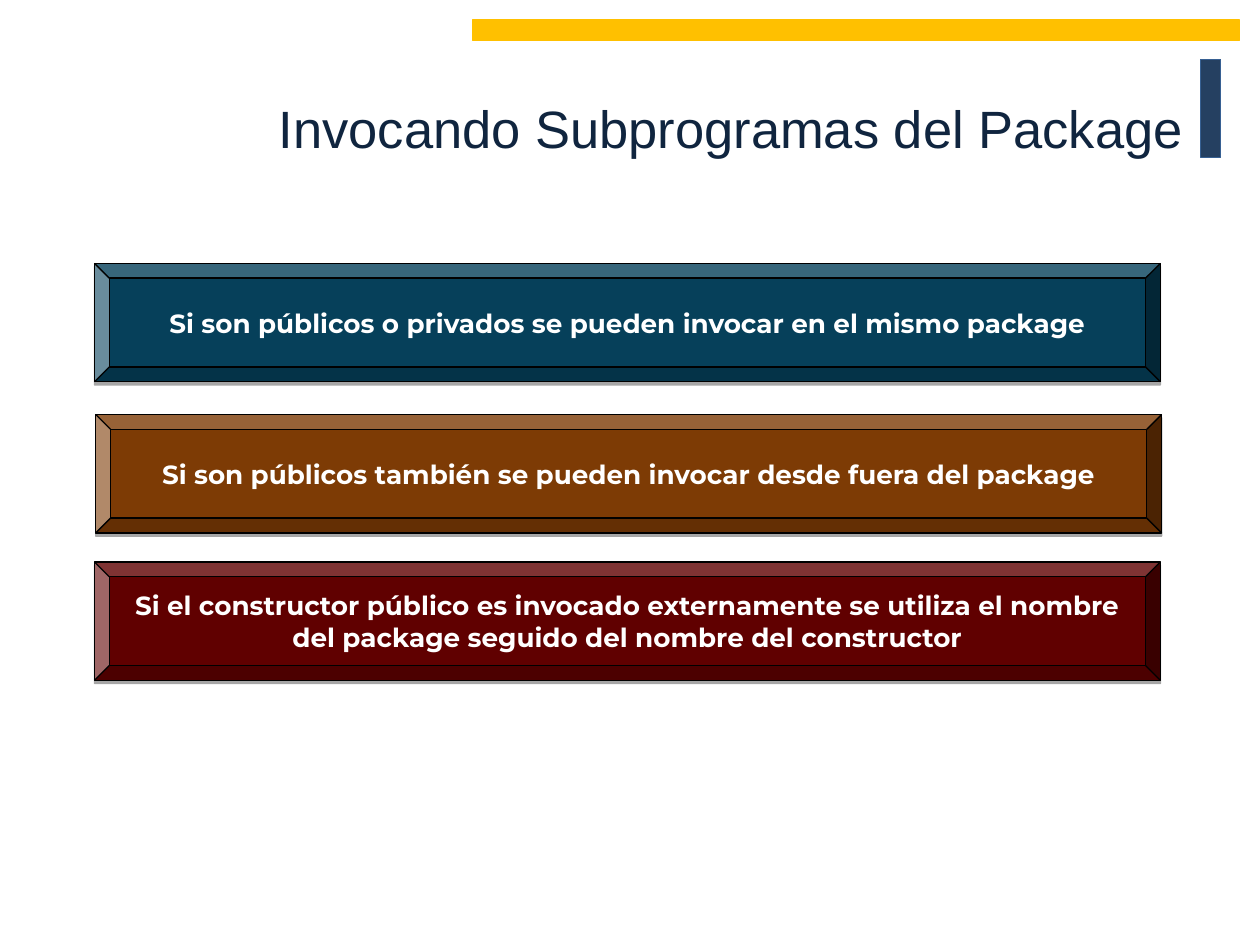
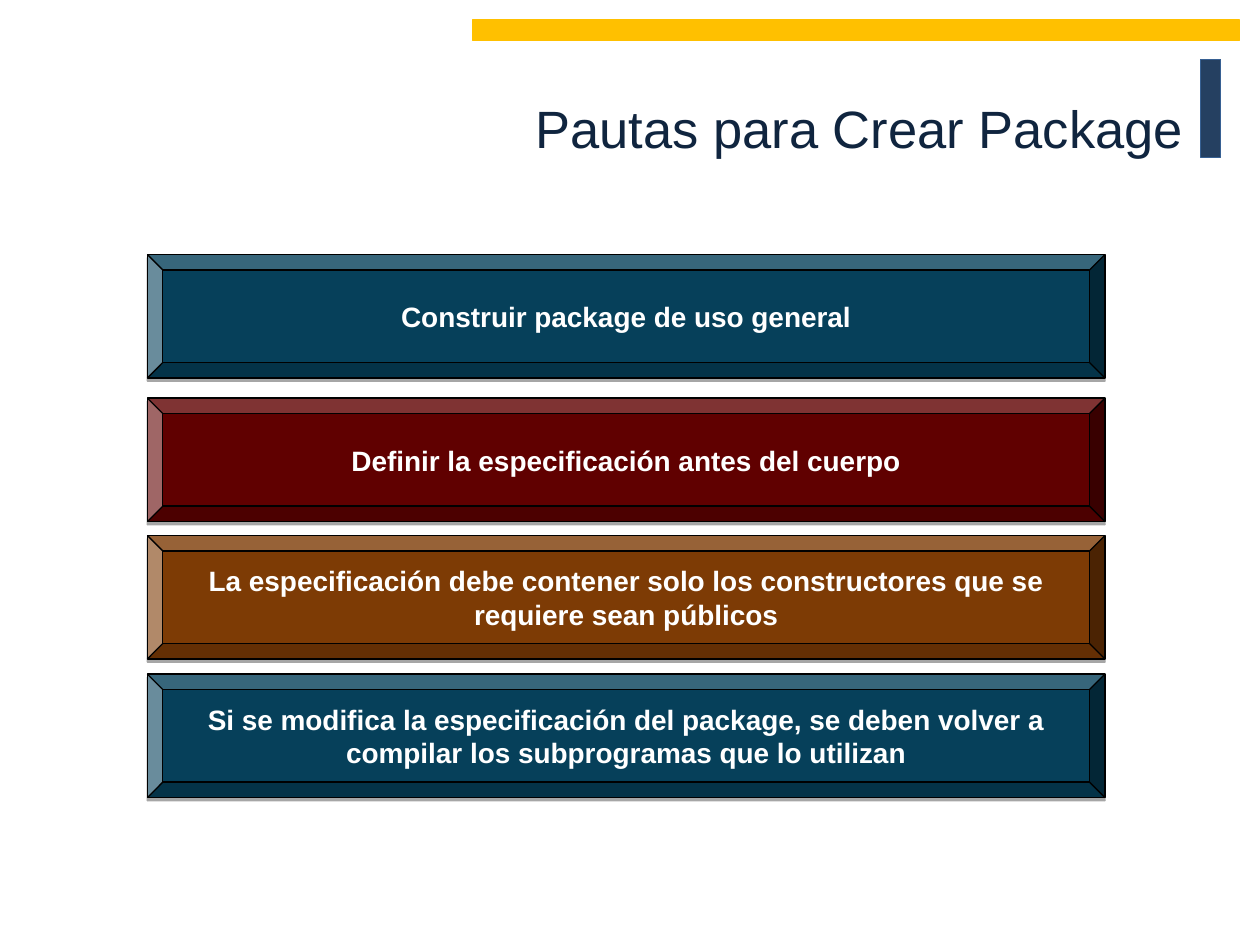
"""Build two slides of bevelled guideline bars about packages."""
from dataclasses import dataclass

from lxml import etree
from pptx import Presentation
from pptx.dml.color import RGBColor
from pptx.enum.shapes import MSO_SHAPE
from pptx.enum.text import MSO_ANCHOR, PP_ALIGN
from pptx.oxml.ns import qn
from pptx.util import Inches, Pt

RECTANGLE, BEVEL = MSO_SHAPE.RECTANGLE, MSO_SHAPE.BEVEL
MIDDLE = MSO_ANCHOR.MIDDLE
CENTER, RIGHT = PP_ALIGN.CENTER, PP_ALIGN.RIGHT
BLANK_LAYOUT = 6

COLORS = {
    "navy": "254061",
    "navy_edge": "376092",
    "gold": "FFC000",
    "title": "10253F",
    "teal": "06405A",
    "brown": "7D3B05",
    "maroon": "600000",
    "black": "000000",
    "white": "FFFFFF",
}


@dataclass(frozen=True)
class Box:
    left: float
    top: float
    width: float
    height: float

    def lengths(self):
        return [Inches(value) for value in (self.left, self.top, self.width, self.height)]


@dataclass(frozen=True)
class Band:
    box: Box
    fill: str
    edge: str


@dataclass(frozen=True)
class Bar:
    left: float
    top: float
    color: str
    text: str


@dataclass(frozen=True)
class GuidelineSlide:
    title: str
    bar_width: float
    bar_height: float
    font: str
    size: int
    bars: tuple[Bar, ...]


TITLE_BOX = Box(0.97, 0.21, 8.52, 1.6)
BANDS = (
    Band(Box(9.53, 0.47, 0.16, 0.78), "navy", "navy_edge"),
    Band(Box(3.75, 0.16, 6.09, 0.16), "gold", "gold"),
)
SLIDES = (
    GuidelineSlide("Invocando Subprogramas del Package", 8.46, 0.94, "Montserrat", 15, (
        Bar(0.75, 2.09, "teal", "Si son públicos o privados se pueden invocar en el mismo package"),
        Bar(0.76, 3.29, "brown", "Si son públicos también se pueden invocar desde fuera del package"),
        Bar(0.75, 4.46, "maroon", "Si el constructor público es invocado externamente se utiliza "
            "el nombre del package seguido del nombre del constructor"),
    )),
    GuidelineSlide("Pautas para Crear Package", 7.6, 0.98, "Arial", 16, (
        Bar(1.17, 2.02, "teal", "Construir package de uso general"),
        Bar(1.17, 3.16, "maroon", "Definir la especificación antes del cuerpo"),
        Bar(1.17, 4.25, "brown", "La especificación debe contener solo los constructores que se "
            "requiere sean públicos"),
        Bar(1.17, 5.35, "teal", "Si se modifica la especificación del package, se deben volver a "
            "compilar los subprogramas que lo utilizan"),
    )),
)


def rgb(name: str) -> RGBColor:
    return RGBColor.from_string(COLORS[name])


def write_text(shape, text: str, *, font: str, size: int, color: str, align, bold: bool = False) -> None:
    frame = shape.text_frame
    frame.word_wrap = True
    frame.vertical_anchor = MIDDLE
    paragraph = frame.paragraphs[0]
    paragraph.alignment = align
    run = paragraph.add_run()
    run.text = text
    run.font.name = font
    run.font.size = Pt(size)
    run.font.bold = bold
    run.font.color.rgb = rgb(color)


def add_filled_shape(slide, kind, box: Box, fill: str, edge: str):
    shape = slide.shapes.add_shape(kind, *box.lengths())
    shape.shadow.inherit = False
    shape.fill.solid()
    shape.fill.fore_color.rgb = rgb(fill)
    shape.line.color.rgb = rgb(edge)
    shape.line.width = Pt(0.75)
    return shape


def add_drop_shadow(shape) -> None:
    effects = shape._element.spPr.find(qn("a:effectLst"))
    shadow = etree.SubElement(effects, qn("a:outerShdw"), blurRad="0", dist=str(Pt(1.8)),
                              dir="5400000", rotWithShape="0")
    color = etree.SubElement(shadow, qn("a:srgbClr"), val=COLORS["black"])
    etree.SubElement(color, qn("a:alpha"), val="35000")


def add_bar(slide, bar: Bar, content: GuidelineSlide) -> None:
    box = Box(bar.left, bar.top, content.bar_width, content.bar_height)
    shape = add_filled_shape(slide, BEVEL, box, bar.color, "black")
    shape.adjustments[0] = 0.125
    add_drop_shadow(shape)
    write_text(shape, bar.text, font=content.font, size=content.size, color="white",
               align=CENTER, bold=True)


def add_guideline_slide(presentation, content: GuidelineSlide) -> None:
    slide = presentation.slides.add_slide(presentation.slide_layouts[BLANK_LAYOUT])
    for band in BANDS:
        add_filled_shape(slide, RECTANGLE, band.box, band.fill, band.edge)
    title = slide.shapes.add_textbox(*TITLE_BOX.lengths())
    write_text(title, content.title, font="Arial", size=30, color="title", align=RIGHT)
    for bar in content.bars:
        add_bar(slide, bar, content)


def main() -> None:
    presentation = Presentation()
    presentation.slide_width = Inches(10)
    presentation.slide_height = Inches(7.5)
    for content in SLIDES:
        add_guideline_slide(presentation, content)
    presentation.save("out.pptx")


if __name__ == "__main__":
    main()
